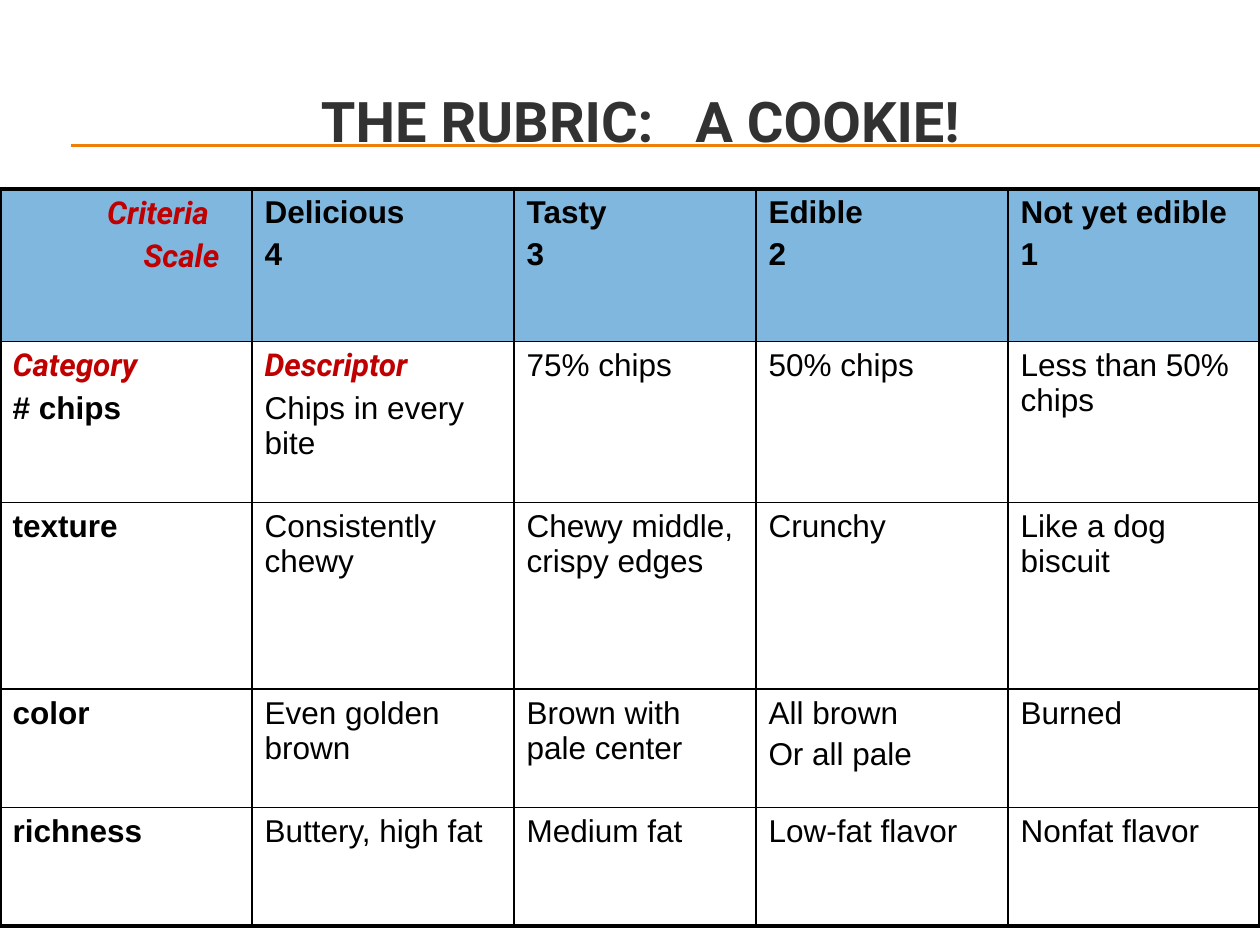
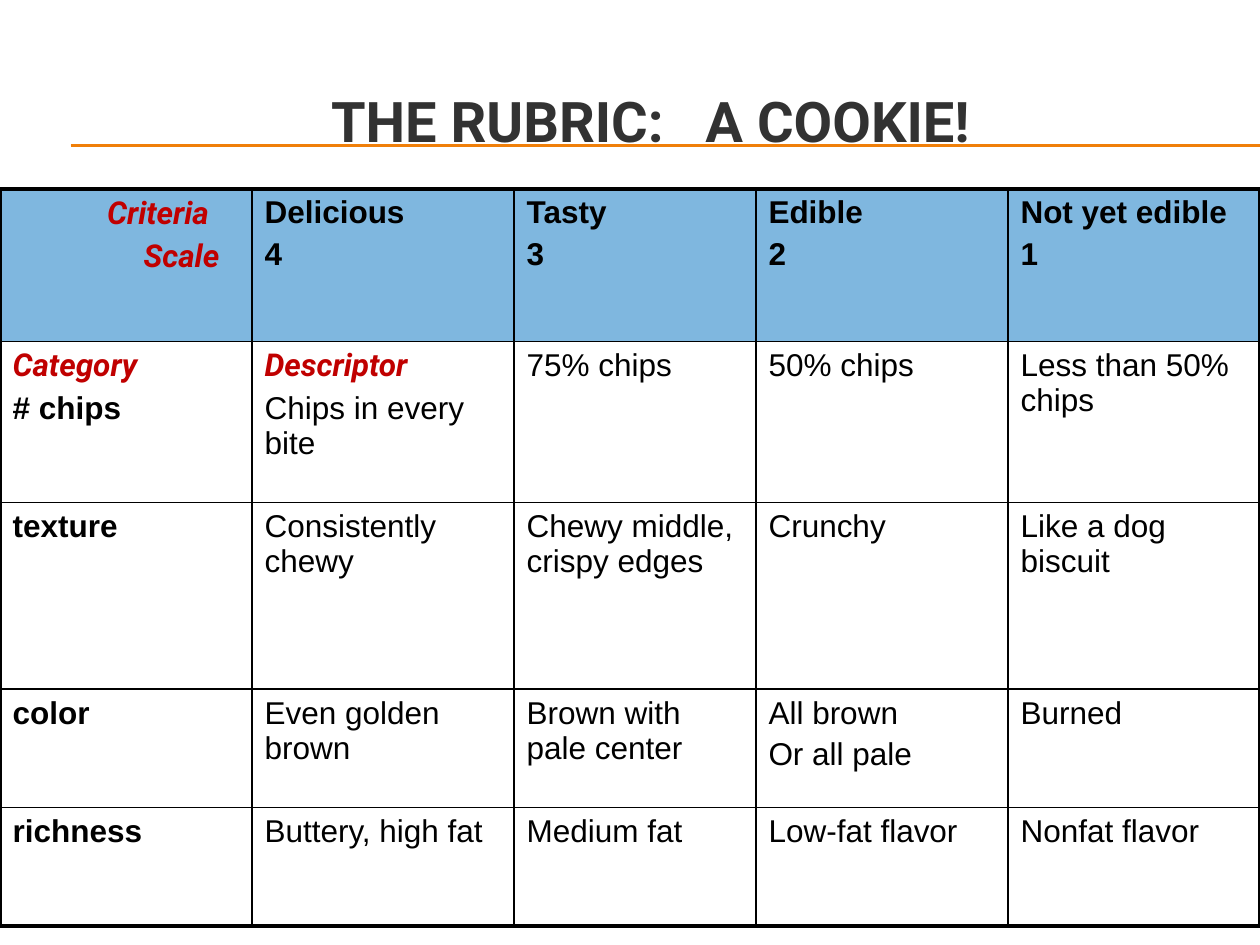
from lxml.etree import SubElement
from pptx import Presentation
from pptx.dml.color import RGBColor
from pptx.enum.shapes import MSO_CONNECTOR as CONNECTOR
from pptx.enum.text import MSO_ANCHOR as ANCHOR, PP_ALIGN as ALIGN
from pptx.oxml.ns import qn
from pptx.util import Inches, Pt

# Content
TITLE = "THE RUBRIC:   A COOKIE!"
TITLE_LEFTS = [0.75, 0.83]  # one slide for each
RUBRIC = [
    ["Criteria\nScale", "Delicious\n4", "Tasty\n3", "Edible\n2", "Not yet edible\n1"],
    ["Category\n# chips", "Descriptor\nChips in every bite", "75% chips", "50% chips",
     "Less than 50% chips"],
    ["texture", "Consistently chewy", "Chewy middle, crispy edges", "Crunchy",
     "Like a dog biscuit"],
    ["color", "Even golden brown", "Brown with pale center", "All brown\nOr all pale",
     "Burned"],
    ["richness", "Buttery, high fat", "Medium fat", "Low-fat flavor", "Nonfat flavor"],
]
# Terms that name the parts of a rubric, with their indents
TERMS = {"Criteria": 0.75, "Scale": 1.04, "Category": 0, "Descriptor": 0}

# Shared look
ORANGE, DARK, RED, BLACK, BLUE = "F07F09", "323232", "C00000", "000000", "0070C0"
HEAD_FONT, BODY_FONT = "Roboto", "Arial"
COL_WIDTHS = [2, 2.08, 1.92, 2, 2]
ROW_HEIGHTS = [1.21, 1.28, 1.48, 0.94, 0.94]
RULE_TOPS = [1.15, 1.16]
TABLE_TOP = 1.5
THIN, THICK = 1, 2.25


def rgb(color):
    return RGBColor.from_string(color)


def write(p, text, size=18, font=BODY_FONT, color=BLACK, bold=False, italic=False,
          align=ALIGN.LEFT, before=0, indent=0):
    p.alignment = align
    p.space_before = Pt(before)
    if indent:
        p._p.get_or_add_pPr().set("marL", str(Inches(indent)))
    r = p.add_run()
    r.text = text
    f = r.font
    f.size, f.name, f.bold, f.italic = Pt(size), font, bold, italic
    f.color.rgb = rgb(color)


def add_rules(slide, layout):
    """Draw the title rules and move them to the layout that the slides share."""
    for top in RULE_TOPS:
        line = slide.shapes.add_connector(
            CONNECTOR.STRAIGHT, Inches(0.56), Inches(top), Inches(10), Inches(top))
        line.line.color.rgb = rgb(ORANGE)
        line.line.width = Pt(0.75)
        SubElement(line.element.spPr, qn("a:effectLst"))
        layout.shapes.element.append(line.element)


def add_title(slide, left):
    title = slide.shapes.title
    title.left, title.top = Inches(left), Inches(0.33)
    title.width, title.height = Inches(8.67), Inches(1.25)
    tf = title.text_frame
    tf.vertical_anchor = ANCHOR.MIDDLE
    write(tf.paragraphs[0], TITLE, size=32, font=HEAD_FONT, color=DARK, bold=True,
          align=ALIGN.CENTER)


def set_borders(cell, widths):
    tc_pr = cell._tc.get_or_add_tcPr()
    for side, width in widths.items():
        ln = SubElement(tc_pr, qn(f"a:ln{side}"), w=str(Pt(width)))
        fill = SubElement(ln, qn("a:solidFill"))
        SubElement(fill, qn("a:srgbClr"), val=BLACK)


def set_fill(cell, header):
    if not header:
        cell.fill.background()
        return
    cell.fill.solid()
    cell.fill.fore_color.rgb = rgb(BLUE)
    color = cell._tc.tcPr.find(f"{qn('a:solidFill')}/{qn('a:srgbClr')}")
    SubElement(color, qn("a:alpha"), val="50000")


def add_rubric(slide):
    last_row, last_col = len(ROW_HEIGHTS) - 1, len(COL_WIDTHS) - 1
    table = slide.shapes.add_table(
        last_row + 1, last_col + 1, 0, Inches(TABLE_TOP),
        Inches(sum(COL_WIDTHS)), Inches(sum(ROW_HEIGHTS))).table
    table.first_row = table.horz_banding = False
    for col, width in zip(table.columns, COL_WIDTHS):
        col.width = Inches(width)
    for row, height in zip(table.rows, ROW_HEIGHTS):
        row.height = Inches(height)

    for i, texts in enumerate(RUBRIC):
        for j, text in enumerate(texts):
            cell = table.cell(i, j)
            outer = {"L": j == 0, "R": j == last_col, "T": i == 0, "B": i == last_row}
            set_borders(cell, {side: THICK if edge else THIN
                               for side, edge in outer.items()})
            set_fill(cell, header=i == 0)
            tf = cell.text_frame
            for n, line in enumerate(text.split("\n")):
                p = tf.add_paragraph() if n else tf.paragraphs[0]
                if line in TERMS:
                    write(p, line, font=HEAD_FONT, color=RED, bold=True, italic=True,
                          before=3.6, indent=TERMS[line])
                else:
                    write(p, line, bold=i == 0 or j == 0, before=3.6)


def main():
    prs = Presentation()
    prs.slide_width, prs.slide_height = Inches(10), Inches(7.5)
    layout = prs.slide_layouts[5]  # title only
    for n, left in enumerate(TITLE_LEFTS):
        slide = prs.slides.add_slide(layout)
        if n == 0:
            add_rules(slide, layout)
        add_title(slide, left)
        add_rubric(slide)
    prs.save("out.pptx")


if __name__ == "__main__":
    main()
